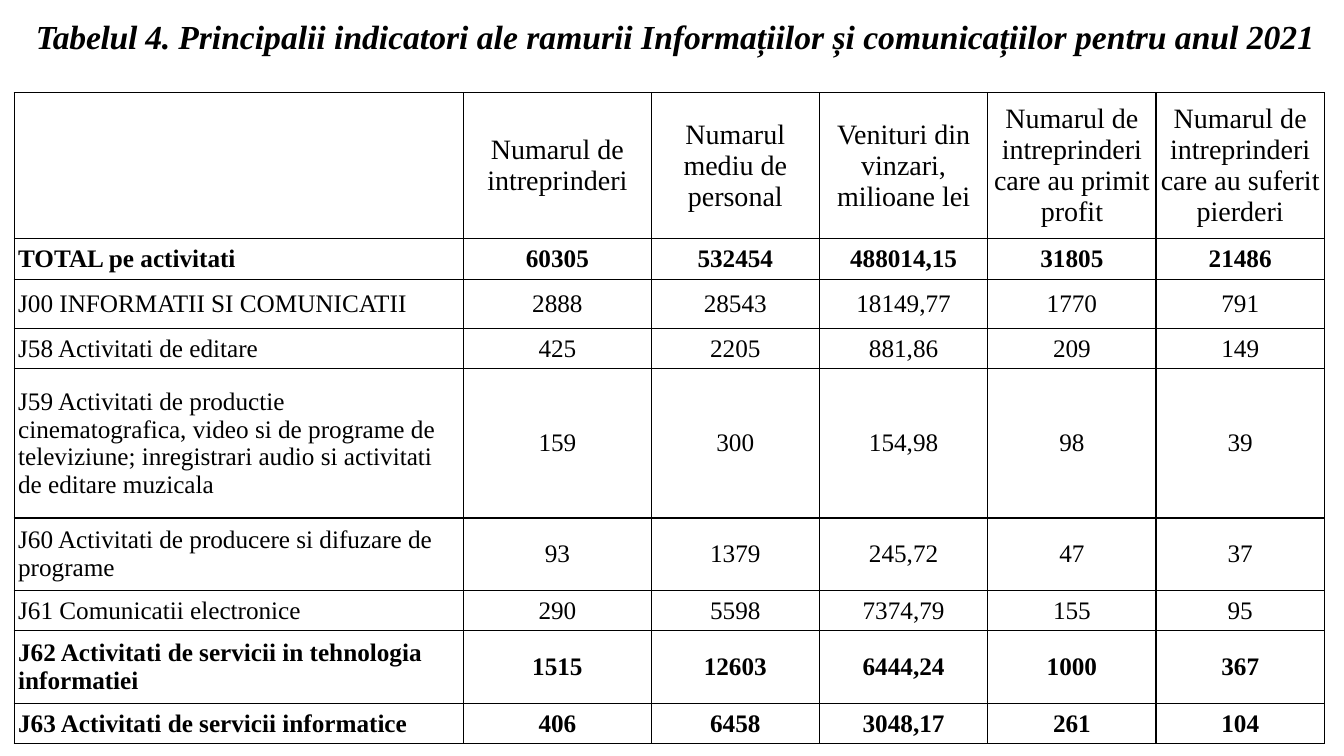
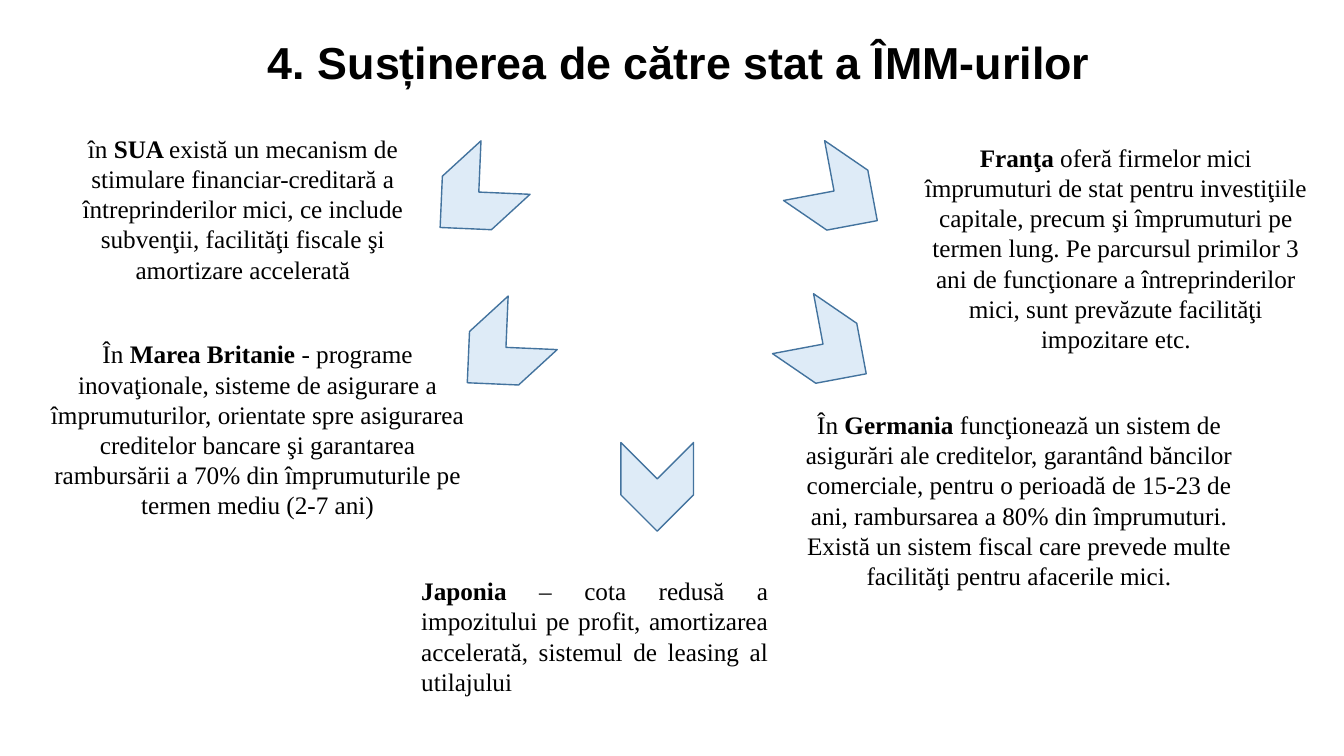
"""Build two slides: a table of indicators and a map of state support."""
import dataclasses

import lxml.etree
import pptx
import pptx.dml.color
import pptx.enum.shapes
import pptx.enum.text
import pptx.oxml.ns
import pptx.util

ALIGN = pptx.enum.text.PP_ALIGN
MIDDLE = pptx.enum.text.MSO_ANCHOR.MIDDLE
COLUMN_WEIGHTS = (4.46, 1.86, 1.67, 1.67, 1.67, 1.67)
HEADER_WEIGHT = 1.45

HEADERS = (
    "",
    "Numarul de intreprinderi",
    "Numarul mediu de personal",
    "Venituri din vinzari, milioane lei",
    "Numarul de intreprinderi care au primit profit",
    "Numarul de intreprinderi care au suferit pierderi",
)

INDICATORS = (
    (0.4, True, "TOTAL pe activitati", "60305", "532454", "488014,15", "31805", "21486"),
    (0.49, False, "J00 INFORMATII SI COMUNICATII", "2888", "28543", "18149,77", "1770", "791"),
    (0.4, False, "J58 Activitati de editare", "425", "2205", "881,86", "209", "149"),
    (1.48, False, "J59 Activitati de productie cinematografica, video si de programe de televiziune; "
     "inregistrari audio si activitati de editare muzicala", "159", "300", "154,98", "98", "39"),
    (0.72, False, "J60 Activitati de producere si difuzare de programe",
     "93", "1379", "245,72", "47", "37"),
    (0.4, False, "J61 Comunicatii electronice", "290", "5598", "7374,79", "155", "95"),
    (0.72, True, "J62 Activitati de servicii in tehnologia informatiei",
     "1515", "12603", "6444,24", "1000", "367"),
    (0.4, True, "J63 Activitati de servicii informatice", "406", "6458", "3048,17", "261", "104"),
)

COUNTRIES = (
    ((3.3, 16.93, 29.55, 21.6), ALIGN.CENTER, "în ", "SUA ",
     "există un mecanism de stimulare financiar-creditară a întreprinderilor mici, "
     "ce include subvenţii, facilităţi fiscale şi amortizare accelerată"),
    ((67.58, 18.13, 30.9, 29.6), ALIGN.CENTER, "", "Franţa",
     " oferă firmelor mici împrumuturi de stat pentru investiţiile capitale, precum şi "
     "împrumuturi pe termen lung. Pe parcursul primilor 3 ani de funcţionare a "
     "întreprinderilor mici, sunt prevăzute facilităţi impozitare etc."),
    ((2.93, 44.13, 32.48, 25.6), ALIGN.CENTER, "În ", "Marea Britanie ",
     "- programe inovaţionale, sisteme de asigurare a împrumuturilor, orientate spre "
     "asigurarea creditelor bancare şi garantarea rambursării a 70% din împrumuturile "
     "pe termen mediu (2-7 ani)"),
    ((58.95, 53.47, 33.75, 25.6), ALIGN.CENTER, "În ", "Germania ",
     "funcţionează un sistem de asigurări ale creditelor, garantând băncilor comerciale, "
     "pentru o perioadă de 15-23 de ani, rambursarea a 80% din împrumuturi. Există un "
     "sistem fiscal care prevede multe facilităţi pentru afacerile mici."),
    ((30.6, 75.47, 27.3, 17.47), ALIGN.JUSTIFY, "", "Japonia",
     " – cota redusă a impozitului pe profit, amortizarea accelerată, "
     "sistemul de leasing al utilajului"),
)

CHEVRON_SIZE = (6.6, 9.6)
CHEVRONS = (
    (31.88, 21.33, 137.5),
    (33.9, 41.87, 137.5),
    (45.6, 59.6, 90),
    (58.43, 41.33, 34.4),
    (59.25, 21.07, 34.4),
)


@dataclasses.dataclass(frozen=True)
class Theme:
    """Colours, fonts and type sizes of the deck."""
    ink: str = "000000"
    chevron_fill: str = "DEEBF7"
    chevron_line: str = "43739E"
    serif: str = "Times New Roman"
    sans: str = "Arial"
    section_size: int = 32
    caption_size: int = 24
    header_size: int = 20
    body_size: int = 18
    line_width: int = 1


THEME = Theme()


@dataclasses.dataclass(frozen=True)
class Area:
    """A rectangle on the page, in EMU."""
    left: int
    top: int
    width: int
    height: int

    def inner(self, left, top, width, height):
        """Return the inner area given in percent of this one."""
        return Area(self.left + int(self.width * left / 100),
                    self.top + int(self.height * top / 100),
                    int(self.width * width / 100),
                    int(self.height * height / 100))

    def bounds(self):
        """Return left, top, width and height."""
        return dataclasses.astuple(self)


def colour(code):
    """Return the colour for a hexadecimal code."""
    return pptx.dml.color.RGBColor.from_string(code)


def add_span(para, text, size, font=THEME.serif, bold=False, italic=False):
    """Append one styled run to a paragraph."""
    span = para.add_run()
    span.text = text
    span.font.name = font
    span.font.size = pptx.util.Pt(size)
    span.font.bold = bold
    span.font.italic = italic
    span.font.color.rgb = colour(THEME.ink)
    return span


def add_text(page, area, align, wrap=True):
    """Add a text box and return its first paragraph."""
    frame = page.shapes.add_textbox(*area.bounds()).text_frame
    frame.word_wrap = wrap
    frame.auto_size = pptx.enum.text.MSO_AUTO_SIZE.SHAPE_TO_FIT_TEXT
    para = frame.paragraphs[0]
    para.alignment = align
    return para


def style_cell(cell, inset):
    """Give a cell thin borders, no fill, middle anchor and equal insets."""
    properties = cell._tc.get_or_add_tcPr()
    for side in ("a:lnL", "a:lnR", "a:lnT", "a:lnB"):
        border = lxml.etree.SubElement(properties, pptx.oxml.ns.qn(side),
                                       w=str(pptx.util.Pt(THEME.line_width)))
        fill = lxml.etree.SubElement(border, pptx.oxml.ns.qn("a:solidFill"))
        lxml.etree.SubElement(fill, pptx.oxml.ns.qn("a:srgbClr"), val=THEME.ink)
    cell.fill.background()
    cell.vertical_anchor = MIDDLE
    cell.margin_left = cell.margin_right = pptx.util.Inches(inset)
    cell.margin_top = cell.margin_bottom = pptx.util.Inches(inset)


def fill_row(table, row, texts, size, bold, inset):
    """Write one table row, its first cell to the left and the rest centred."""
    for column, text in enumerate(texts):
        cell = table.cell(row, column)
        style_cell(cell, inset)
        para = cell.text_frame.paragraphs[0]
        para.alignment = ALIGN.CENTER if column else ALIGN.LEFT
        if text:
            add_span(para, text, size, bold=bold)


def add_indicators(page, area):
    """Place the table of indicators in an area."""
    row_weights = [HEADER_WEIGHT] + [entry[0] for entry in INDICATORS]
    table = page.shapes.add_table(len(row_weights), len(COLUMN_WEIGHTS), *area.bounds()).table
    table.first_row = table.horz_banding = False
    for column, weight in zip(table.columns, COLUMN_WEIGHTS):
        column.width = int(area.width * weight / sum(COLUMN_WEIGHTS))
    for row, weight in zip(table.rows, row_weights):
        row.height = int(area.height * weight / sum(row_weights))
    fill_row(table, 0, HEADERS, THEME.header_size, False, 0.01)
    for row, (_, bold, *texts) in enumerate(INDICATORS, start=1):
        fill_row(table, row, texts, THEME.body_size, bold, 0.04)


def add_chevron(page, area, angle):
    """Place one turned chevron in an area."""
    chevron = page.shapes.add_shape(pptx.enum.shapes.MSO_SHAPE.CHEVRON, *area.bounds())
    chevron.rotation = angle
    chevron.shadow.inherit = False
    chevron.fill.solid()
    chevron.fill.fore_color.rgb = colour(THEME.chevron_fill)
    chevron.line.color.rgb = colour(THEME.chevron_line)
    chevron.line.width = pptx.util.Pt(THEME.line_width)


def add_country(page, area, align, lead, country, support):
    """Place the note on one country, its name in bold."""
    para = add_text(page, area, align)
    for text, bold in ((lead, False), (country, True), (support, False)):
        if text:
            add_span(para, text, THEME.body_size, bold=bold)


def build_table_page(page, area):
    """Build the slide with the caption and the table."""
    para = add_text(page, area.inner(1.88, 1.47, 96.68, 6.67), ALIGN.RIGHT)
    number = add_span(para, "Tabelul 4. ", THEME.caption_size, bold=True, italic=True)
    number._r.get_or_add_rPr().set("spc", "-20")
    add_span(para, "Principalii indicatori ale ramurii Informațiilor și comunicațiilor "
             "pentru anul 2021", THEME.caption_size, bold=True, italic=True)
    add_indicators(page, area.inner(1.05, 12.27, 97.5, 86.13))


def build_support_page(page, area):
    """Build the slide with the country notes around the chevrons."""
    para = add_text(page, area.inner(19.2, 3.87, 63.15, 8.53), ALIGN.LEFT, wrap=False)
    add_span(para, "4. Susținerea de către stat a ÎMM-urilor",
             THEME.section_size, THEME.sans, bold=True)
    for place, *note in COUNTRIES:
        add_country(page, area.inner(*place), *note)
    for left, top, angle in CHEVRONS:
        add_chevron(page, area.inner(left, top, *CHEVRON_SIZE), angle)


def main():
    """Create the deck and save it."""
    deck = pptx.Presentation()
    deck.slide_width = pptx.util.Inches(13.33)
    deck.slide_height = pptx.util.Inches(7.5)
    whole = Area(0, 0, deck.slide_width, deck.slide_height)
    for build in (build_table_page, build_support_page):
        build(deck.slides.add_slide(deck.slide_layouts[6]), whole)
    deck.save("out.pptx")


if __name__ == "__main__":
    main()
